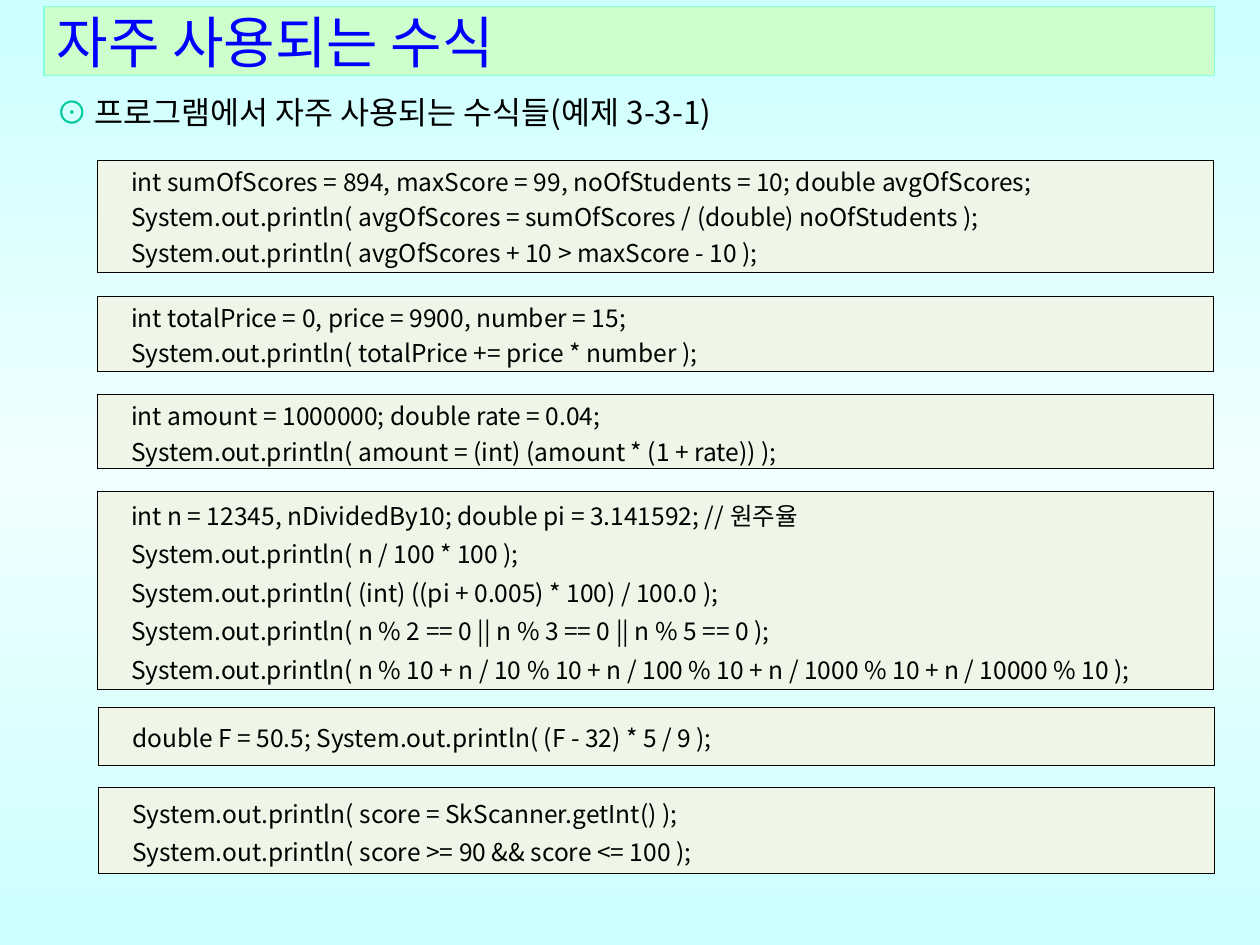
from copy import deepcopy

from lxml.etree import SubElement
from pptx import Presentation
from pptx.dml.color import RGBColor
from pptx.enum.shapes import MSO_SHAPE
from pptx.enum.text import MSO_ANCHOR, PP_ALIGN
from pptx.oxml.ns import qn
from pptx.util import Inches, Pt

FONT = "Noto Sans CJK KR"
BLACK = RGBColor(0, 0, 0)
BLUE = RGBColor(0, 0, 0xFF)
TEAL = RGBColor(0, 0xCC, 0x99)
MINT = RGBColor(0xCC, 0xFF, 0xCC)
AQUA = RGBColor(0x85, 0xFF, 0xE0)
CREAM = RGBColor(0xEF, 0xF6, 0xE7)
PALE_CYAN = RGBColor(0xCC, 0xFF, 0xFF)
NEAR_WHITE = RGBColor(0xF0, 0xFF, 0xFF)

TITLE = "자주 사용되는 수식"
BULLET = "⊙ "
SUBTITLE = "프로그램에서 자주 사용되는 수식들(예제 3-3-1)"

# left, top, height, line spacing (pt), space before first line (pt), code lines
CODE_BOXES = [
    (0.77, 1.27, 0.89, None, 0, [
        "int sumOfScores = 894, maxScore = 99, noOfStudents = 10; double avgOfScores;",
        "System.out.println( avgOfScores = sumOfScores / (double) noOfStudents );",
        "System.out.println( avgOfScores + 10 > maxScore - 10 );"]),
    (0.77, 2.35, 0.6, None, 6, [
        "int totalPrice = 0, price = 9900, number = 15;",
        "System.out.println( totalPrice += price * number );"]),
    (0.77, 3.13, 0.59, None, 0, [
        "int amount = 1000000; double rate = 0.04;",
        "System.out.println( amount = (int) (amount * (1 + rate)) );"]),
    (0.77, 3.9, 1.57, 22, 0, [
        "int n = 12345, nDividedBy10; double pi = 3.141592; // 원주율",
        "System.out.println( n / 100 * 100 );",
        "System.out.println( (int) ((pi + 0.005) * 100) / 100.0 );",
        "System.out.println( n % 2 == 0 || n % 3 == 0 || n % 5 == 0 );",
        "System.out.println( n % 10 + n / 10 % 10 + n / 100 % 10"
        " + n / 1000 % 10 + n / 10000 % 10 );"]),
    (0.78, 5.61, 0.46, 22, 6, [
        "double F = 50.5; System.out.println( (F - 32) * 5 / 9 );"]),
    (0.78, 6.25, 0.68, 22, 6, [
        "System.out.println( score = SkScanner.getInt() );",
        "System.out.println( score >= 90 && score <= 100 );"]),
]
BOX_WIDTH = 8.86


def add_run(paragraph, text, size, color):
    run = paragraph.add_run()
    run.text = text
    run.font.size = Pt(size)
    run.font.name = FONT
    run.font.color.rgb = color
    SubElement(run.font._element, qn("a:ea"), typeface=FONT)


def set_borders(cell, color, width):
    properties = cell._tc.get_or_add_tcPr()
    for index, side in enumerate(("lnL", "lnR", "lnT", "lnB")):
        line = SubElement(properties, qn(f"a:{side}"), w=str(Pt(width)))
        fill = SubElement(line, qn("a:solidFill"))
        SubElement(fill, qn("a:srgbClr"), val=str(color))
        properties.insert(index, line)  # borders come before the fill


def add_code_box(slide, left, top, height, spacing, before, lines):
    frame = slide.shapes.add_table(1, 1, Inches(left), Inches(top),
                                   Inches(BOX_WIDTH), Inches(height))
    table = frame.table
    table.first_row = table.horz_banding = False
    cell = table.cell(0, 0)
    cell.fill.solid()
    cell.fill.fore_color.rgb = CREAM
    set_borders(cell, BLACK, 0.28)
    cell.vertical_anchor = MSO_ANCHOR.MIDDLE
    cell.margin_left = cell.margin_right = Inches(0.07)
    cell.margin_top = cell.margin_bottom = Inches(0.02)
    for index, line in enumerate(lines):
        text_frame = cell.text_frame
        paragraph = text_frame.add_paragraph() if index else text_frame.paragraphs[0]
        paragraph._p.get_or_add_pPr().set("marL", str(Inches(0.2)))
        if spacing:
            paragraph.line_spacing = Pt(spacing)
        if before and index == 0:
            paragraph.space_before = Pt(before)
        add_run(paragraph, line, 14, BLACK)


presentation = Presentation()
presentation.slide_width, presentation.slide_height = Inches(10), Inches(7.5)
slide = presentation.slides.add_slide(presentation.slide_layouts[6])

# Background: three-stop vertical gradient
background = slide.background.fill
background.gradient()
background.gradient_angle = 90
stop_list = slide.element.find(".//" + qn("a:gsLst"))
stop_list.insert(1, deepcopy(stop_list[0]))
for stop, position, color in zip(background.gradient_stops, (0, 0.5, 1),
                                 (PALE_CYAN, NEAR_WHITE, PALE_CYAN)):
    stop.position = position
    stop.color.rgb = color

# Title bar
title = slide.shapes.add_shape(MSO_SHAPE.RECTANGLE, Inches(0.35), Inches(0.05),
                               Inches(9.29), Inches(0.55))
title.shadow.inherit = False
title.fill.solid()
title.fill.fore_color.rgb = MINT
title.line.color.rgb = AQUA
title.line.width = Pt(0.75)
title.text_frame.vertical_anchor = MSO_ANCHOR.MIDDLE
title_paragraph = title.text_frame.paragraphs[0]
title_paragraph.alignment = PP_ALIGN.LEFT
add_run(title_paragraph, TITLE, 32, BLUE)

# Subtitle
subtitle = slide.shapes.add_textbox(Inches(0.35), Inches(0.69), Inches(9.33), Inches(0.4))
subtitle.text_frame.word_wrap = True
subtitle_paragraph = subtitle.text_frame.paragraphs[0]
add_run(subtitle_paragraph, BULLET, 18, TEAL)
add_run(subtitle_paragraph, SUBTITLE, 18, BLACK)

# Code boxes
for box in CODE_BOXES:
    add_code_box(slide, *box)

presentation.save("out.pptx")
